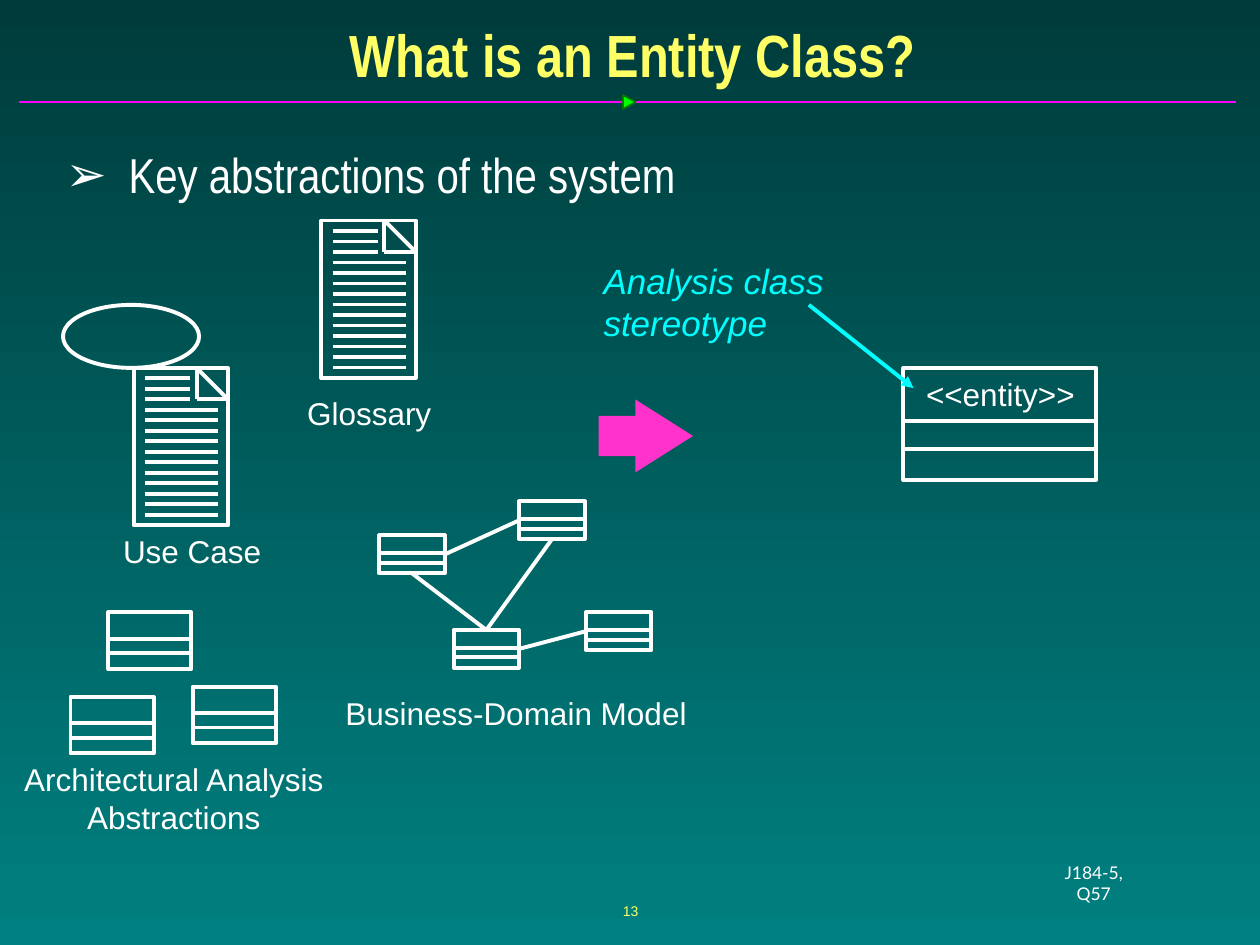
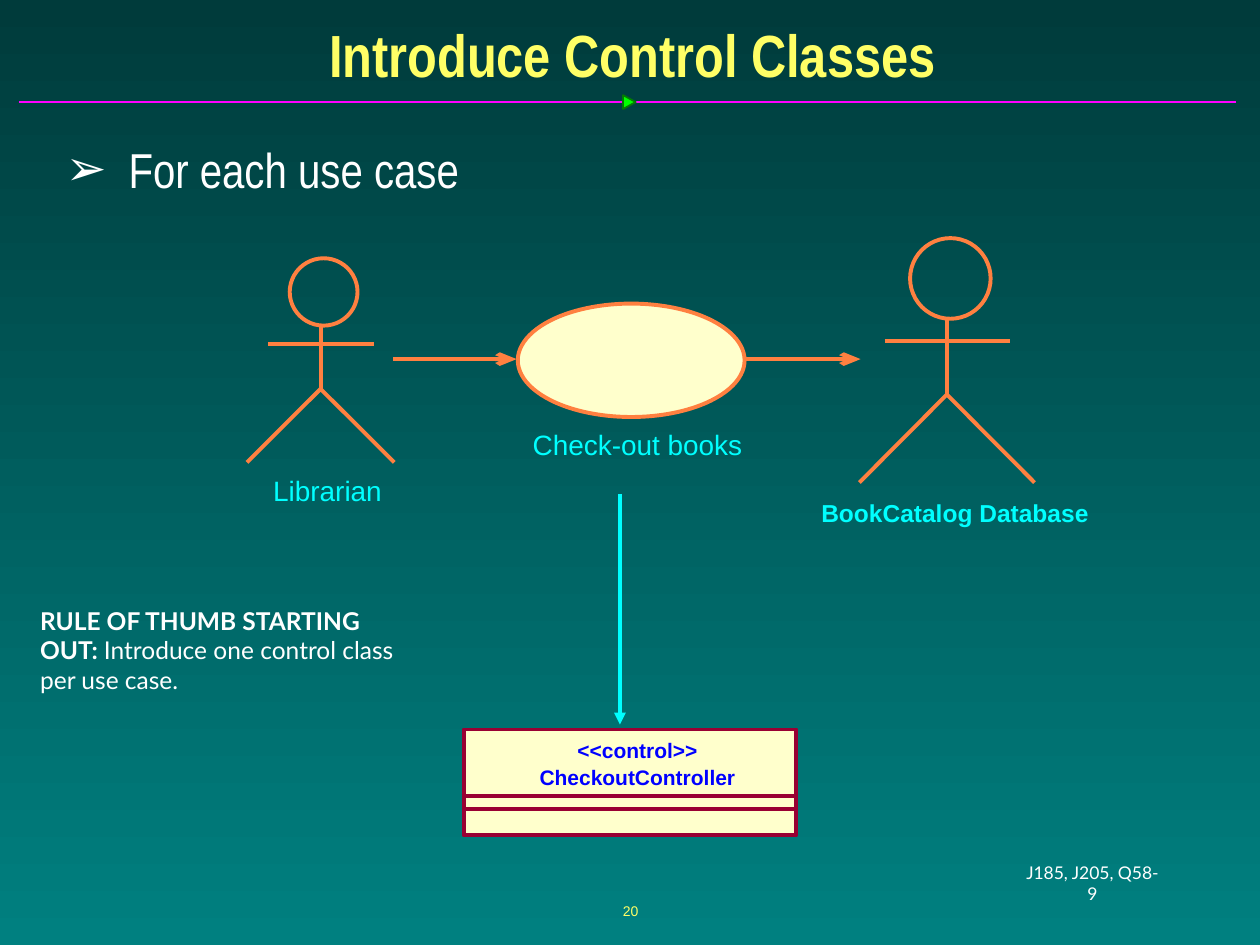
from dataclasses import dataclass

from lxml import etree
from pptx import Presentation
from pptx.dml.color import RGBColor as RGB
from pptx.enum.shapes import MSO_CONNECTOR, MSO_SHAPE as SHAPE
from pptx.enum.text import MSO_ANCHOR as ANCHOR, MSO_AUTO_SIZE as AUTO, PP_ALIGN as ALIGN
from pptx.oxml.ns import qn
from pptx.util import Inches, Pt


@dataclass(frozen=True)
class Theme:
    bg_top: str = "003B3B"
    bg_bottom: str = "008080"
    title: str = "FFFF66"
    text: str = "FFFFFF"
    accent: str = "00FFFF"
    rule: str = "FF01FF"
    marker: str = "00FF00"
    marker_edge: str = "037C03"
    block_arrow: str = "FF33CC"
    actor: str = "FF8040"
    cream: str = "FFFFCC"
    class_edge: str = "990033"
    class_text: str = "0000FF"
    heading_font: str = "Arial Narrow"
    label_font: str = "Arial"
    note_font: str = "Lato"
    title_size: float = 34
    body_size: float = 28
    callout_size: float = 20
    label_size: float = 18
    caption_size: float = 16
    note_size: float = 14
    class_size: float = 12
    ref_size: float = 10
    number_size: float = 8
    stroke: float = 2.25


T = Theme()
TITLE_BOX = (0.1, 0.14, 9.84, 0.58)
RULE_BOX = (0.15, 0.76, 9.66, 0.1)
NUMBER_BOX = (3.42, 6.98, 3.17, 0.5)


def write(tf, text, lead="", font=T.label_font, size=T.label_size, color=T.text,
          bold=False, italic=False, align=ALIGN.CENTER, anchor=ANCHOR.TOP,
          inset=(0, 0), wrap=False, spacing=None, bullet=None):
    tf.auto_size = AUTO.NONE
    tf.word_wrap = wrap
    tf.vertical_anchor = anchor
    tf.margin_left = tf.margin_right = Inches(inset[0])
    tf.margin_top = tf.margin_bottom = Inches(inset[1])
    p = tf.paragraphs[0]
    if bullet:
        add_bullet(p, bullet, color)
    p.alignment = align
    p.space_before = Pt(0)
    if spacing:
        p.line_spacing = spacing
    for part, strong in ((lead, True), (text, bold)):
        if part:
            r = p.add_run()
            r.text = part
            r.font.name, r.font.size = font, Pt(size)
            r.font.bold, r.font.italic = strong, italic
            r.font.color.rgb = RGB.from_string(color)


def add_bullet(p, char, color):
    pPr = p._p.get_or_add_pPr()
    pPr.set("marL", str(Inches(0.5)))
    pPr.set("indent", str(Inches(-0.5)))
    clr = etree.SubElement(pPr, qn("a:buClr"))
    etree.SubElement(clr, qn("a:srgbClr"), val=color)
    etree.SubElement(pPr, qn("a:buFont"), typeface=T.label_font)
    etree.SubElement(pPr, qn("a:buChar"), char=char)


def label(s, box, text, **fmt):
    sp = s.shapes.add_textbox(*map(Inches, box))
    write(sp.text_frame, text, **fmt)


def paint(sp, fill=None, line=None, width=T.stroke):
    sp.shadow.inherit = False
    if fill:
        sp.fill.solid()
        sp.fill.fore_color.rgb = RGB.from_string(fill)
    else:
        sp.fill.background()
    if line:
        sp.line.color.rgb = RGB.from_string(line)
        sp.line.width = Pt(width)
    else:
        sp.line.fill.background()
    return sp


def shape(s, kind, box, **style):
    return paint(s.shapes.add_shape(kind, *map(Inches, box)), **style)


def line(s, x1, y1, x2, y2, color=T.text, width=T.stroke, head=None, head_len="med"):
    c = s.shapes.add_connector(MSO_CONNECTOR.STRAIGHT, *map(Inches, (x1, y1, x2, y2)))
    c.line.color.rgb = RGB.from_string(color)
    c.line.width = Pt(width)
    spPr = c.element.spPr
    if head:
        etree.SubElement(spPr.find(qn("a:ln")), qn("a:tailEnd"),
                         type=head, w="med", len=head_len)
    etree.SubElement(spPr, qn("a:effectLst"))
    return c


def join(s, start, start_side, end, end_side):
    c = line(s, 0, 0, 1, 1)
    c.begin_connect(start, start_side)
    c.end_connect(end, end_side)


def header_rule(s, box):
    x, y, w, h = box
    mid = y + h / 2
    line(s, x, mid, x + w, mid, T.rule, 1)
    marker = shape(s, SHAPE.ISOSCELES_TRIANGLE, (x + w / 2 - 0.04, y, 0.11, h),
                   fill=T.marker, line=T.marker_edge, width=1)
    marker.rotation = 90


def place(sp, box):
    sp.left, sp.top, sp.width, sp.height = map(Inches, box)
    return sp.text_frame


def base_slide(prs, title, bullet, number, ref, ref_box, body_height, spacing):
    s = prs.slides.add_slide(prs.slide_layouts[1])
    write(place(s.shapes.title, TITLE_BOX), title, font=T.heading_font,
          size=T.title_size, color=T.title, bold=True, anchor=ANCHOR.MIDDLE,
          inset=(0.1, 0.05), wrap=True)
    write(place(s.placeholders[1], (0.4, 1.15, 9.29, body_height)), bullet,
          font=T.heading_font, size=T.body_size, align=ALIGN.LEFT,
          inset=(0.12, 0.06), wrap=True, spacing=spacing, bullet="➢")
    header_rule(s, RULE_BOX)
    label(s, NUMBER_BOX, number, size=T.number_size, color=T.title,
          anchor=ANCHOR.MIDDLE, inset=(0.1, 0.05))
    label(s, ref_box, ref, font=T.note_font, size=T.ref_size,
          anchor=ANCHOR.MIDDLE, inset=(0.1, 0.05), wrap=True)
    return s


def class_box(s, box, splits=(0.47, 0.72), fill=None, color=T.text):
    x, y, w, h = box
    sp = shape(s, SHAPE.RECTANGLE, box, fill=fill, line=color)
    for split in splits:
        line(s, x, y + h * split, x + w, y + h * split, color)
    return sp


def document(s, box):
    x, y, w, h = box
    fold = 0.25
    fold_x, right = x + w - fold, x + w
    shape(s, SHAPE.RECTANGLE, box, line=T.text)
    line(s, fold_x, y, right, y + fold)
    line(s, fold_x, y, fold_x, y + fold)
    line(s, right, y + fold, fold_x, y + fold)
    for row in range(1, 15):
        end = fold_x - 0.05 if row <= 3 else right - 0.08
        row_y = y + row * h / 15
        line(s, x + 0.09, row_y, end, row_y)


def actor(s, box):
    x, y, w, h = box
    mid, hip = x + w * 0.5, y + h * 0.64
    arms = y + h * 0.42
    shape(s, SHAPE.OVAL, (x + w * 0.29, y, w * 0.46, h * 0.33), line=T.actor)
    line(s, mid, y + h * 0.33, mid, hip, T.actor)
    line(s, x + w * 0.145, arms, x + w * 0.86, arms, T.actor)
    legs = s.shapes.build_freeform(Inches(x), Inches(y + h))
    legs.add_line_segments([(Inches(mid), Inches(hip)),
                            (Inches(x + w), Inches(y + h))], close=False)
    paint(legs.convert_to_shape(), line=T.actor)


def glossary(s, x, y):
    document(s, (x, y, 0.75, 1.25))
    label(s, (x - 0.21, y + 1.33, 1.18, 0.4), "Glossary", inset=(0.1, 0.05))


def use_case(s, x, y):
    shape(s, SHAPE.OVAL, (x, y, 1.08, 0.5), line=T.text)
    document(s, (x + 0.56, y + 0.5, 0.75, 1.25))
    label(s, (x - 0.35, y + 1.75, 2.75, 0.4), "Use Case", inset=(0.1, 0.05))


def domain_model(s, x, y):
    spots = ((0, 0.27), (1.11, 0), (0.59, 1.02), (1.64, 0.88))
    left, top, low, right = [class_box(s, (x + dx, y + dy, 0.52, 0.3))
                             for dx, dy in spots]
    join(s, low, 0, left, 2)
    join(s, left, 3, top, 1)
    join(s, low, 3, right, 1)
    join(s, low, 0, top, 2)
    label(s, (x - 0.37, y + 1.48, 2.91, 0.4), "Business-Domain Model", inset=(0.1, 0.05))


def abstractions(s, x, y):
    for dx, dy in ((0.3, 0), (0.97, 0.59), (0, 0.67)):
        class_box(s, (x + dx, y + dy, 0.66, 0.45))
    label(s, (x - 0.7, y + 1.11, 3.04, 0.72), "Architectural Analysis Abstractions",
          inset=(0.12, 0.06), wrap=True)


def entity_class(s, x, y):
    class_box(s, (x, y, 1.53, 0.89))
    label(s, (x + 0.18, y + 0.06, 1.18, 0.3), "<<entity>>")
    label(s, (x - 2.5, y - 0.92, 2.33, 0.79), "Analysis class stereotype",
          size=T.callout_size, color=T.accent, italic=True, align=ALIGN.LEFT,
          inset=(0.12, 0.06), wrap=True)
    line(s, x - 0.75, y - 0.5, x + 0.08, y + 0.16, T.accent, head="triangle")


def control_class(s, box):
    x, y, w, h = box
    class_box(s, box, (0.63, 0.75), T.cream, T.class_edge)
    for row, name in enumerate(("<<control>>", "CheckoutController")):
        label(s, (x + 0.6, y + 0.06 + row * 0.22, w - 1.08, 0.2), name,
              size=T.class_size, color=T.class_text, bold=True)


def check_out(s, box):
    x, y, w, h = box
    flow_y = y + 0.44
    shape(s, SHAPE.OVAL, box, fill=T.cream, line=T.actor)
    for start, end in ((x - 0.99, x - 0.01), (x + w, x + w + 0.92)):
        line(s, start, flow_y, end, flow_y, T.actor, head="arrow", head_len="lg")
    label(s, (x + 0.12, y + 0.98, 1.66, 0.27), "Check-out books",
          size=T.caption_size, color=T.accent)
    line(s, x + 0.81, y + 1.51, x + 0.81, y + 3.34, T.accent, head="triangle")


def entity_slide(prs):
    s = base_slide(prs, "What is an Entity Class?", "Key abstractions of the system",
                   "13", "J184-5, Q57", (8.21, 6.87, 0.94, 0.27), 5.52, 0.87)
    glossary(s, 2.55, 1.75)
    use_case(s, 0.5, 2.42)
    domain_model(s, 3.01, 3.98)
    abstractions(s, 0.56, 4.86)
    arrow = shape(s, SHAPE.RIGHT_ARROW, (4.75, 3.17, 0.75, 0.58), fill=T.block_arrow)
    arrow.adjustments[0], arrow.adjustments[1] = 0.55, 0.79
    entity_class(s, 7.17, 2.92)


def control_slide(prs):
    s = base_slide(prs, "Introduce Control Classes", "For each use case",
                   "20", "J185, J205, Q58-9", (8.03, 6.87, 1.28, 0.27), 0.52, 0.77)
    actor(s, (1.96, 2.05, 1.17, 1.62))
    label(s, (2.17, 3.76, 0.86, 0.27), "Librarian", size=T.caption_size, color=T.accent)
    check_out(s, (4.11, 2.41, 1.8, 0.9))
    actor(s, (6.82, 1.89, 1.39, 1.94))
    label(s, (6.52, 3.95, 2.12, 0.23), "BookCatalog Database",
          size=T.note_size, color=T.accent, bold=True)
    control_class(s, (3.68, 5.79, 2.64, 0.84))
    label(s, (0.22, 4.76, 3.03, 0.8), "Introduce one control class per use case.",
          lead="RULE OF THUMB STARTING OUT: ", font=T.note_font, size=T.note_size,
          align=ALIGN.LEFT, inset=(0.1, 0.05), wrap=True)


def main():
    prs = Presentation()
    prs.slide_width, prs.slide_height = Inches(10), Inches(7.5)
    fill = prs.slide_master.background.fill
    fill.gradient()
    fill.gradient_angle = 270
    for stop, color in zip(fill.gradient_stops, (T.bg_top, T.bg_bottom)):
        stop.color.rgb = RGB.from_string(color)
    entity_slide(prs)
    control_slide(prs)
    prs.save("out.pptx")


if __name__ == "__main__":
    main()
